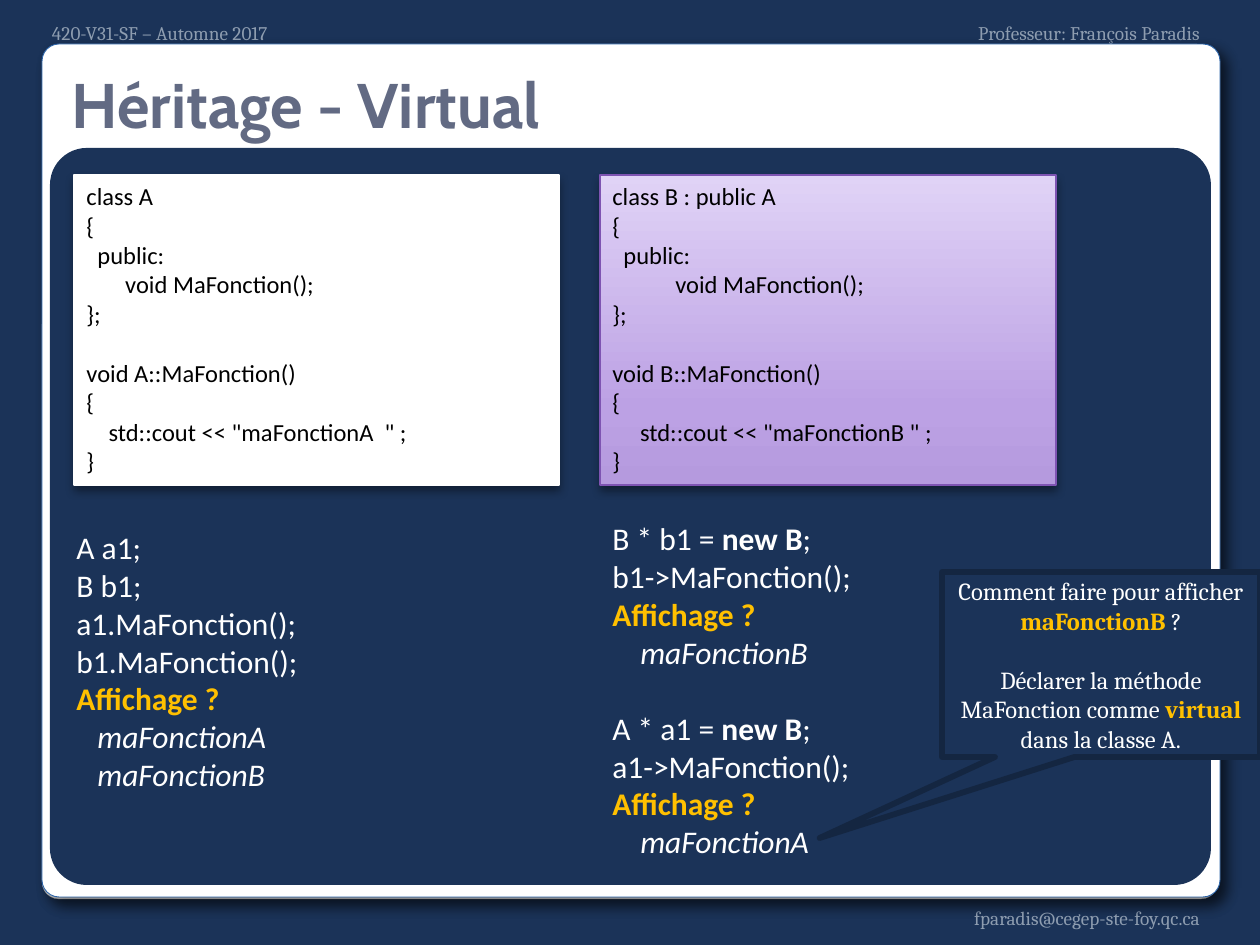
"""Build the slide on inheritance and virtual methods."""
from copy import deepcopy

from lxml import etree
from pptx import Presentation, util as u
from pptx.dml.color import RGBColor
from pptx.enum import shapes, text
from pptx.oxml import ns

PX = 914400 / 126
COLORS = {
    "navy": "1B3358", "white": "FFFFFF", "black": "000000", "gold": "FFC000",
    "muted": "8E9DB0", "title": "626A83", "edge": "2C64A8", "silver": "DADADA",
    "grey": "A4A4A4", "violet": "7E54B2", "outline": "142641",
}
LILACS = [(0, "B59ADE"), (0.25, "BCA1E4"), (1, "E0D3F6")]
KINDS = shapes.MSO_SHAPE
ALIGN = text.PP_ALIGN
ANCHOR = text.MSO_ANCHOR


def add_panel(kind, box, adjustments, fill, line=None, width=0, shadow=None):
    panel = slide.shapes.add_shape(kind, *[u.Emu(round(n * PX)) for n in box])
    for i, value in enumerate(adjustments):
        panel.adjustments[i] = value
    panel.fill.solid()
    panel.fill.fore_color.rgb = RGBColor.from_string(COLORS[fill])
    if line:
        panel.line.color.rgb = RGBColor.from_string(COLORS[line])
        panel.line.width = u.Pt(width)
    else:
        panel.line.fill.background()
    panel.shadow.inherit = False
    if shadow:
        blur, distance, angle = shadow
        effects = panel._element.spPr.find(ns.qn("a:effectLst"))
        outer = etree.SubElement(effects, ns.qn("a:outerShdw"), blurRad=str(u.Pt(blur)),
                                 dist=str(u.Pt(distance)), dir=str(angle * 60000), rotWithShape="0")
        shade = etree.SubElement(outer, ns.qn("a:srgbClr"), val=COLORS["black"])
        etree.SubElement(shade, ns.qn("a:alpha"), val="40000")
    return panel


def write(frame, lines, font, size, color, align=ALIGN.LEFT, anchor=ANCHOR.TOP):
    """Write lines of (runs, indent in px, space before in points)."""
    frame.word_wrap = True
    frame.vertical_anchor = anchor
    for i, (runs, indent, gap) in enumerate(lines):
        paragraph = frame.paragraphs[0] if i == 0 else frame.add_paragraph()
        paragraph.alignment = align
        if indent:
            paragraph._p.get_or_add_pPr().set("marL", str(round(indent * PX)))
        if gap:
            paragraph.space_before = u.Pt(gap)
        for words, style in runs:
            run = paragraph.add_run()
            run.text = words
            run.font.name = font
            run.font.size = u.Pt(size)
            run.font.bold = style in ("bold", "gold")
            run.font.italic = style == "italic"
            run.font.color.rgb = RGBColor.from_string(COLORS["gold" if style == "gold" else color])


deck = Presentation()
deck.slide_width, deck.slide_height = u.Emu(round(1260 * PX)), u.Emu(round(945 * PX))
slide = deck.slides.add_slide(deck.slide_layouts[5])
slide.background.fill.solid()
slide.background.fill.fore_color.rgb = RGBColor.from_string(COLORS["navy"])

add_panel(KINDS.ROUNDED_RECTANGLE, (42, 45, 1176, 854), [0.02], "silver", "grey", 0.16, (8, 6, 45))
page_labels = [
    ("fparadis@cegep-ste-foy.qc.ca", (816, 906, 384, 39), ALIGN.RIGHT, ANCHOR.TOP),
    ("420-V31-SF – Automne 2017", (52, 15, 315, 29), ALIGN.LEFT, ANCHOR.BOTTOM),
    ("Professeur: François Paradis", (885, 15, 315, 29), ALIGN.RIGHT, ANCHOR.BOTTOM),
]
for words, box, align, anchor in page_labels:
    label = slide.shapes.add_textbox(*[u.Emu(round(n * PX)) for n in box]).text_frame
    label.margin_left = label.margin_right = label.margin_top = label.margin_bottom = 0
    write(label, [([(words, "plain")], 0, 0)], "Cambria", 11, "muted", align, anchor)
add_panel(KINDS.ROUNDED_RECTANGLE, (42, 44, 1178, 853), [0.02], "white", "edge", 0.5, (8, 6, 45))
add_panel(KINDS.ROUNDED_RECTANGLE, (50, 148, 1161, 737), [0.05], "navy")

classes = [
    ("A", "class A", "       void MaFonction();", 0,
     '    std::cout << "maFonctionA  " ;', (74, 175, 485, 310), "white"),
    ("B", "class B : public A", "void MaFonction();", 63,
     '     std::cout << "maFonctionB " ;', (600, 175, 456, 310), "violet"),
]
for name, heading, method, indent, output, box, line in classes:
    code = [(heading, 0, 0), ("{", 0, 0), ("  public:", 0, 0), (method, indent, 0), ("};", 0, 0),
            (f"void {name}::MaFonction()", 0, 17), ("{", 0, 0), (output, 0, 0), ("}", 0, 0)]
    listing = add_panel(KINDS.RECTANGLE, box, [], "white", line, 0.75, (5.2, 3, 90))
    write(listing.text_frame, [([(words, "plain")], left, gap) for words, left, gap in code],
          "Calibri", 14, "black")

listing.fill.gradient()
listing.fill.gradient_angle = 90
stop_list = listing._element.spPr.find(ns.qn("a:gradFill")).find(ns.qn("a:gsLst"))
stop_list.append(deepcopy(stop_list[-1]))
for stop, (position, lilac) in zip(listing.fill.gradient_stops, LILACS):
    stop.position = position
    stop.color.rgb = RGBColor.from_string(lilac)

pointer_calls = []
for variable, kind, result, gap in [("b1", "B", "maFonctionB", 0), ("a1", "A", "maFonctionA", 22)]:
    pointer_calls += [
        ([(f"{kind} * {variable} = ", "plain"), ("new B", "bold"), (";", "plain")], 0, gap),
        ([(f"{variable}->MaFonction();", "plain")], 0, 0),
        ([("Affichage ?", "gold")], 0, 0),
        ([(result, "italic")], 28, 0),
    ]
object_calls = [([(words, "plain")], 0, 0)
                for words in ("A a1;", "B b1;", "a1.MaFonction();", "b1.MaFonction();")]
object_calls.append(([("Affichage ?", "gold")], 0, 0))
object_calls += [([(words, "italic")], 21, 0) for words in ("maFonctionA", "maFonctionB")]
for box, calls in [((600, 513, 427, 432), pointer_calls), ((64, 522, 461, 357), object_calls)]:
    example = slide.shapes.add_textbox(*[u.Emu(round(n * PX)) for n in box])
    write(example.text_frame, calls, "Calibri", 18, "white")

callout = add_panel(KINDS.RECTANGULAR_CALLOUT, (942, 572, 318, 185), [-0.885, 0.938],
                    "navy", "outline", 3.35)
advice = [
    ([("Comment faire pour afficher ", "plain"), ("maFonctionB ", "gold"), ("?", "plain")], 0, 0),
    ([("Déclarer la méthode MaFonction comme ", "plain"), ("virtual ", "gold"),
      ("dans la classe A.", "plain")], 0, 17),
]
write(callout.text_frame, advice, "Cambria", 14, "white", ALIGN.CENTER, ANCHOR.MIDDLE)

title = slide.shapes.title
title.left, title.top, title.width, title.height = [
    u.Emu(round(n * PX)) for n in (59, 49, 1128, 98)]
write(title.text_frame, [([("Héritage - Virtual", "bold")], 0, 0)], "Cabin", 36, "title",
      anchor=ANCHOR.BOTTOM)
slide.shapes._spTree.append(title._element)

deck.save("out.pptx")
